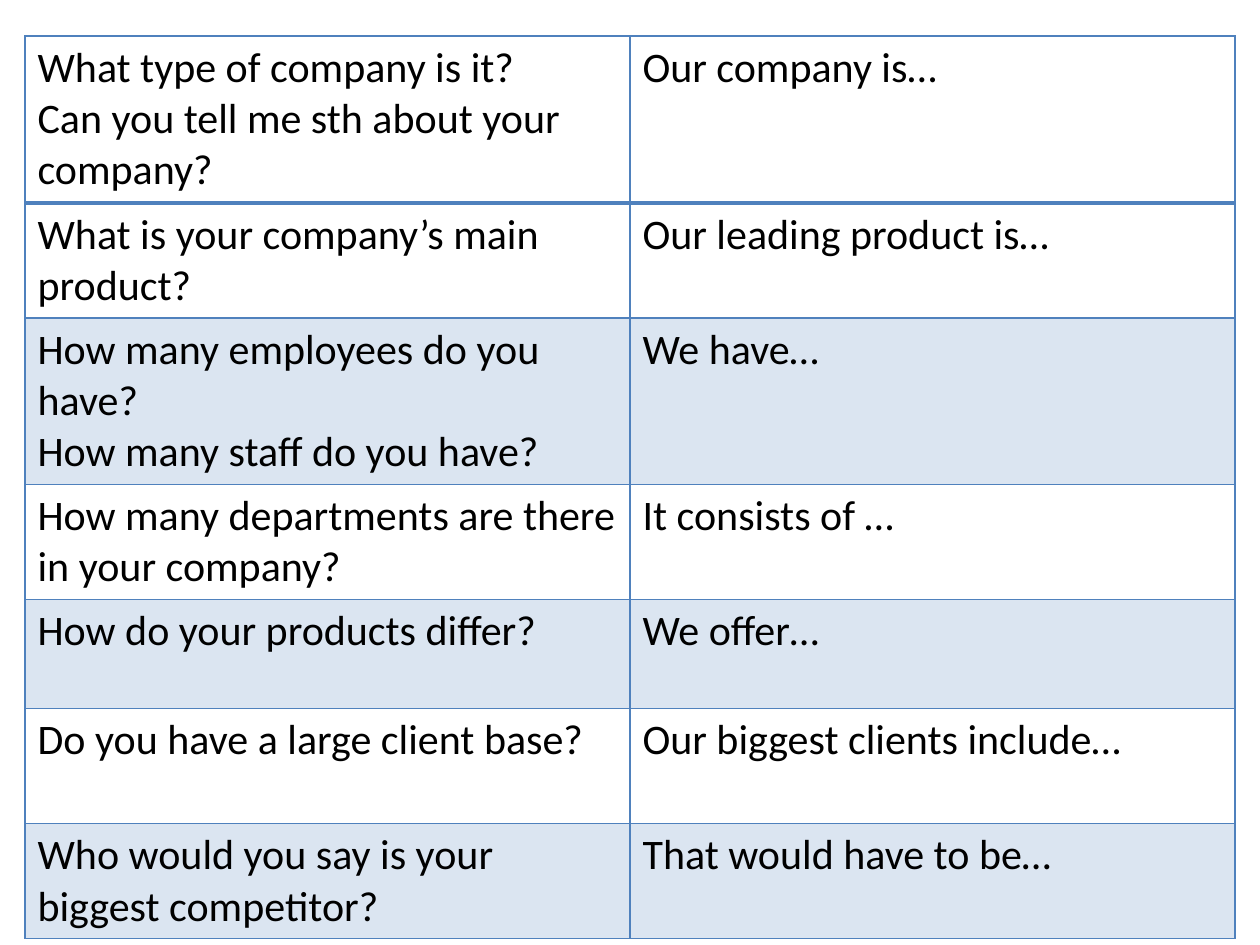
"""Build a slide with a table of company questions and answer openers."""
from lxml import etree
from pptx import Presentation
from pptx.dml.color import RGBColor
from pptx.oxml.ns import qn
from pptx.util import Pt

PX = 914400 // 126
BLUE = RGBColor(0x4F, 0x81, 0xBD)
BLACK = RGBColor(0, 0, 0)
TINT_PERCENT = 20

ROWS = [
    (167, "What type of company is it?\nCan you tell me sth about your company?", "Our company is…"),
    (115, "What is your company’s main product?", "Our leading product is…"),
    (166, "How many employees do you have?\nHow many staff do you have?", "We have…"),
    (115, "How many departments are there in your company?", "It consists of …"),
    (109, "How do your products differ?", "We offer…"),
    (115, "Do you have a large client base?", "Our biggest clients include…"),
    (115, "Who would you say is your biggest competitor?", "That would have to be…"),
]
LEFT, TOP, COLUMN_WIDTH = 25, 36, 605


def set_borders(cell, widths):
    properties = cell._tc.get_or_add_tcPr()
    for side, width in widths.items():
        line = etree.SubElement(properties, qn(f"a:ln{side}"), w=str(Pt(width)))
        fill = etree.SubElement(line, qn("a:solidFill"))
        etree.SubElement(fill, qn("a:srgbClr"), val=str(BLUE))


def set_fill(cell, tinted):
    if not tinted:
        cell.fill.background()
        return
    cell.fill.solid()
    cell.fill.fore_color.rgb = BLUE
    color = cell._tc.tcPr.find(qn("a:solidFill")).find(qn("a:srgbClr"))
    etree.SubElement(color, qn("a:alpha"), val=str(TINT_PERCENT * 1000))


def set_text(cell, text):
    cell.text_frame.text = text
    for paragraph in cell.text_frame.paragraphs:
        font = paragraph.runs[0].font
        font.name, font.size, font.bold = "Calibri", Pt(24), False
        font.color.rgb = BLACK


prs = Presentation()
prs.slide_width, prs.slide_height = 1260 * PX, 945 * PX
slide = prs.slides.add_slide(prs.slide_layouts[6])
total_height = sum(height for height, *_ in ROWS)
table = slide.shapes.add_table(
    len(ROWS), 2, LEFT * PX, TOP * PX, 2 * COLUMN_WIDTH * PX, total_height * PX
).table
table.first_row = table.horz_banding = False
for column in table.columns:
    column.width = COLUMN_WIDTH * PX

for index, (height, *texts) in enumerate(ROWS):
    table.rows[index].height = height * PX
    widths = {"L": 1, "R": 1, "T": 2 if index == 1 else 1, "B": 2 if index == 0 else 1}
    for column, text in enumerate(texts):
        cell = table.cell(index, column)
        set_borders(cell, widths)
        set_fill(cell, index > 0 and index % 2 == 0)
        set_text(cell, text)

prs.save("out.pptx")
